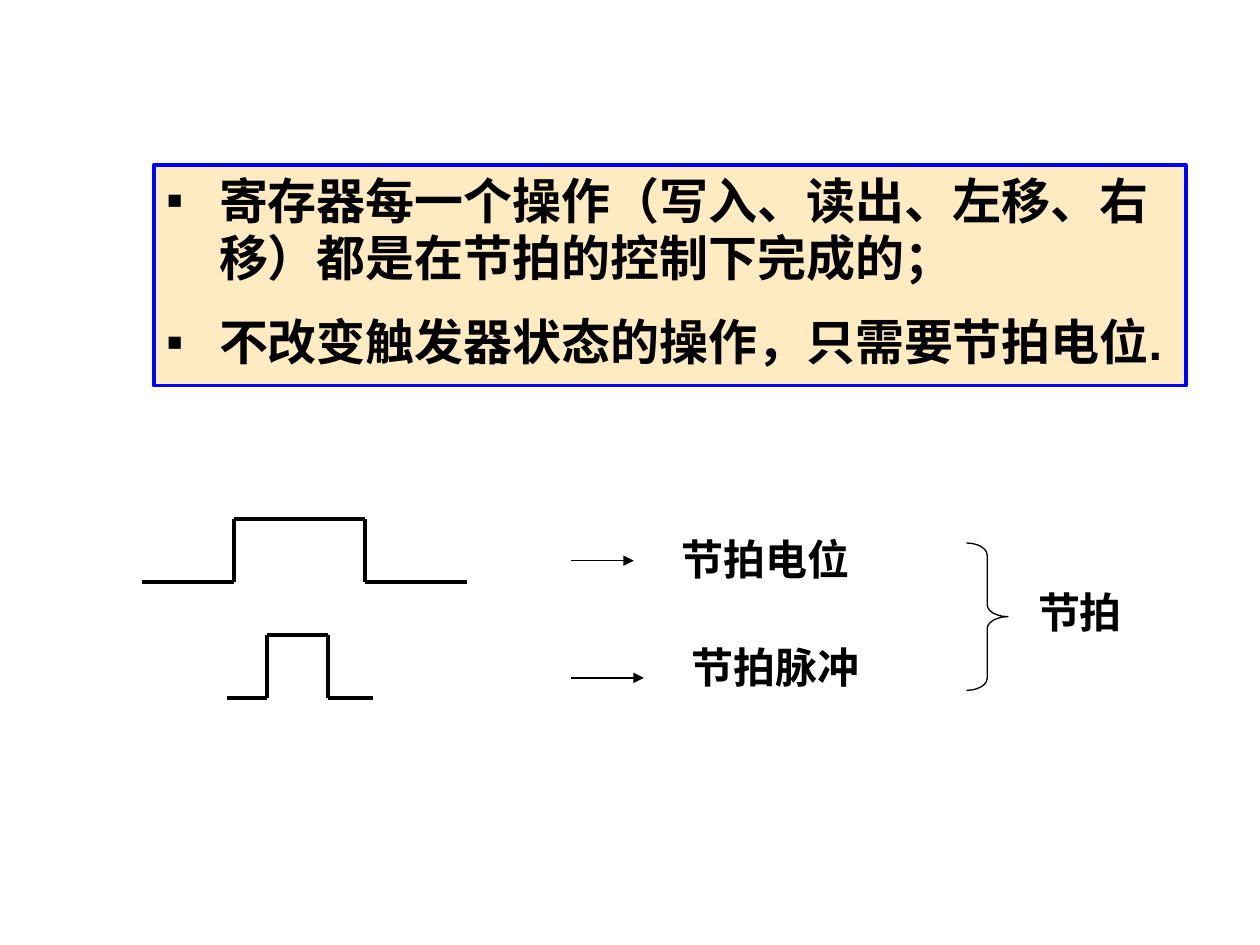
from itertools import pairwise

from lxml.etree import SubElement
from pptx import Presentation
from pptx.dml.color import RGBColor
from pptx.enum.shapes import MSO_CONNECTOR, MSO_SHAPE
from pptx.enum.text import MSO_ANCHOR, PP_ALIGN
from pptx.oxml.ns import qn
from pptx.util import Inches, Pt

COLORS = {"ink": "000000", "panel": "FFEBC2", "border": "0000FF"}


def color(name):
    return RGBColor.from_string(COLORS[name])


def write(para, text, size, spacing, font="Arial"):
    para.alignment = PP_ALIGN.LEFT
    para.line_spacing = Pt(spacing)
    span = para.add_run()
    span.text = text
    span.font.name = font
    span.font.size = Pt(size)
    span.font.bold = True
    span.font.color.rgb = color("ink")


def add_bullet(para):
    properties = para._p.get_or_add_pPr()
    properties.set("marL", str(Inches(0.42)))
    properties.set("indent", str(Inches(-0.42)))
    SubElement(properties, qn("a:buFont"), typeface="Arial")
    SubElement(properties, qn("a:buChar"), char="▪")


def add_panel(page, left, top, width, height, points):
    box = page.shapes.add_shape(
        MSO_SHAPE.RECTANGLE, Inches(left), Inches(top), Inches(width), Inches(height)
    )
    box.shadow.inherit = False
    box.fill.solid()
    box.fill.fore_color.rgb = color("panel")
    box.line.color.rgb = color("border")
    box.line.width = Pt(2.25)
    frame = box.text_frame
    frame.word_wrap = True
    frame.vertical_anchor = MSO_ANCHOR.TOP
    frame.margin_right = Inches(0.05)
    for index, point in enumerate(points):
        para = frame.add_paragraph() if index else frame.paragraphs[0]
        add_bullet(para)
        if index:
            para.space_before = Pt(15)
        write(para, point, 28, 33)


def add_line(shapes, start, end, width, arrow=False):
    line = shapes.add_connector(
        MSO_CONNECTOR.STRAIGHT, *(Inches(value) for value in (*start, *end))
    )
    line.line.color.rgb = color("ink")
    line.line.width = Pt(width)
    if arrow:
        SubElement(line.line._get_or_add_ln(), qn("a:tailEnd"), type="triangle")
    SubElement(line._element.spPr, qn("a:effectLst"))


def add_pulse(page, start, rise, fall, end, base, height=0.5):
    high = base - height
    corners = [
        (start, base), (rise, base), (rise, high),
        (fall, high), (fall, base), (end, base),
    ]
    group = page.shapes.add_group_shape()
    for first, second in pairwise(corners):
        add_line(group.shapes, first, second, 2.25)


def add_label(page, left, top, width, height, text, font="Arial"):
    box = page.shapes.add_textbox(
        Inches(left), Inches(top), Inches(width), Inches(height)
    )
    box.text_frame.word_wrap = True
    write(box.text_frame.paragraphs[0], text, 24, 28, font)


def add_brace(page, left, top, width, height):
    brace = page.shapes.add_shape(
        MSO_SHAPE.RIGHT_BRACE, Inches(left), Inches(top), Inches(width), Inches(height)
    )
    brace.shadow.inherit = False
    brace.adjustments[0] = 0.29
    brace.adjustments[1] = 0.5
    brace.fill.background()
    brace.line.color.rgb = color("ink")
    brace.line.width = Pt(0.75)


def main():
    deck = Presentation()
    deck.slide_width, deck.slide_height = Inches(10), Inches(7.5)
    page = deck.slides.add_slide(deck.slide_layouts[6])
    add_panel(page, 1.22, 1.31, 8.19, 1.75, [
        "寄存器每一个操作（写入、读出、左移、右移）都是在节拍的控制下完成的；",
        "不改变触发器状态的操作，只需要节拍电位.",
    ])
    add_pulse(page, 1.13, 1.86, 2.9, 3.71, 4.62)
    add_pulse(page, 1.8, 2.12, 2.6, 2.96, 5.54)
    add_brace(page, 7.67, 4.31, 0.33, 1.17)
    add_label(page, 8.14, 4.62, 1.03, 0.51, "节拍", "Noto Sans CJK SC")
    add_label(page, 5.31, 4.2, 2.49, 0.5, "节拍电位")
    add_label(page, 5.39, 5.05, 1.92, 0.5, "节拍脉冲")
    for end, level in [(5.03, 4.45), (5.11, 5.38)]:
        add_line(page.shapes, (4.53, level), (end, level), 0.75, arrow=True)
    deck.save("out.pptx")


if __name__ == "__main__":
    main()
